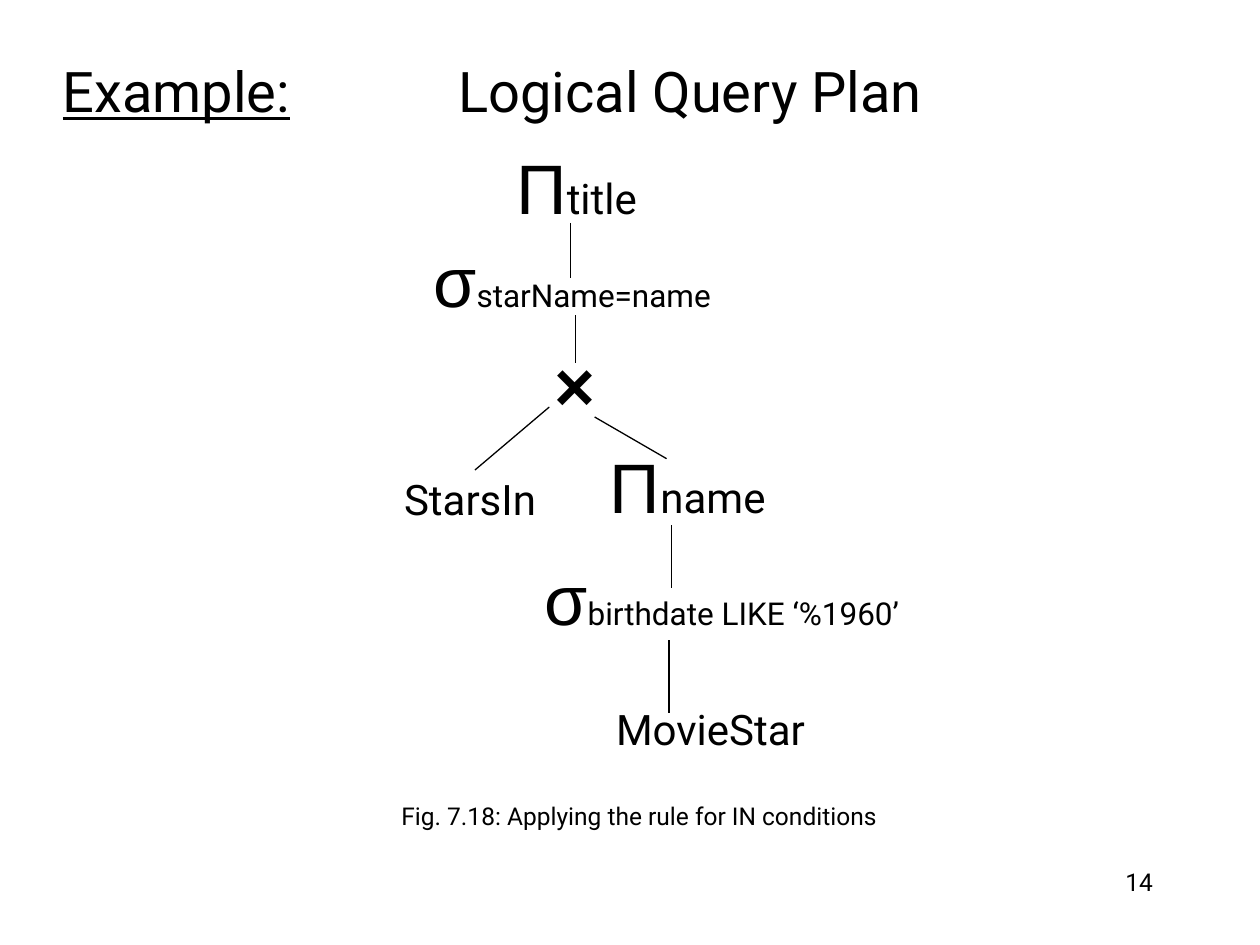
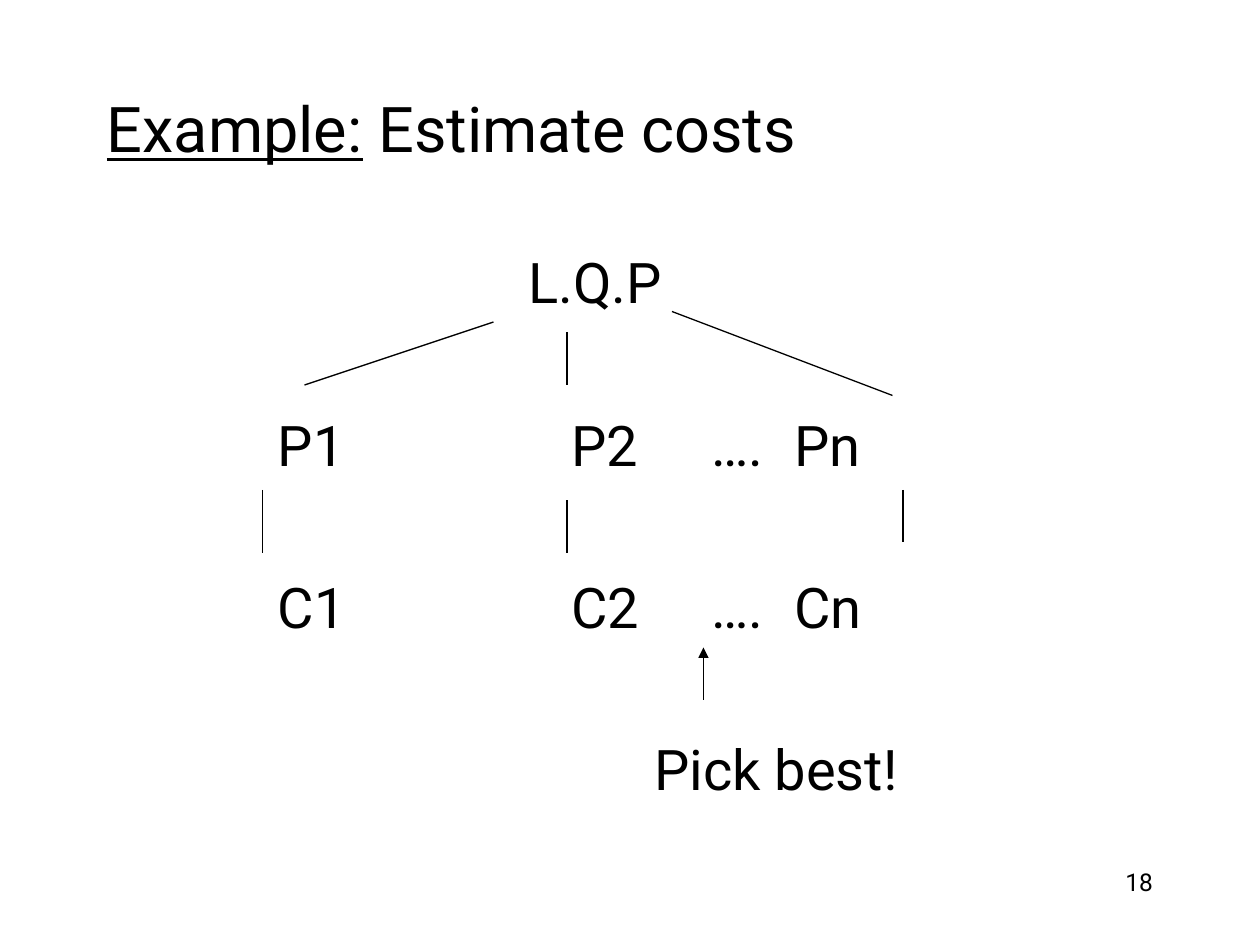
from dataclasses import dataclass

from lxml import etree
from pptx import Presentation
from pptx.dml.color import RGBColor
from pptx.enum.shapes import MSO_CONNECTOR
from pptx.enum.text import MSO_ANCHOR, PP_ALIGN
from pptx.oxml.ns import qn
from pptx.util import Pt

STRAIGHT = MSO_CONNECTOR.STRAIGHT
TOP, MIDDLE = MSO_ANCHOR.TOP, MSO_ANCHOR.MIDDLE
LEFT, CENTER, RIGHT = PP_ALIGN.LEFT, PP_ALIGN.CENTER, PP_ALIGN.RIGHT


@dataclass(frozen=True)
class Theme:
    ink: RGBColor = RGBColor(0, 0, 0)
    background: RGBColor = RGBColor(255, 255, 255)
    font: str = "Roboto"
    symbol_font: str = "Arial"
    symbol_size: int = 40
    plan_size: int = 32
    relation_size: int = 24
    condition_size: int = 18
    small_size: int = 14
    line_width: float = 0.75


THEME = Theme()


def add_text(slide, text, box, size, align=CENTER, anchor=MIDDLE, wrap=False):
    """Add one paragraph in a (left, top, width, height) box; return the paragraph."""
    frame = slide.shapes.add_textbox(*map(Pt, box)).text_frame
    frame.word_wrap = wrap
    frame.vertical_anchor = anchor
    paragraph = frame.paragraphs[0]
    paragraph.alignment = align
    paragraph.font.size = Pt(size)
    paragraph.font.name = THEME.font
    paragraph.font.color.rgb = THEME.ink
    if text:
        paragraph.add_run().text = text
    return paragraph


def add_title(slide, text, box, size, tab_stop=None):
    """Add a title led by an underlined "Example:"; tab_stop sets where a tab lands."""
    paragraph = add_text(slide, "Example:", box, size, LEFT, wrap=True)
    paragraph.runs[0].font.underline = True
    paragraph.add_run().text = text
    if tab_stop:
        tabs = etree.SubElement(paragraph._p.get_or_add_pPr(), qn("a:tabLst"))
        # Tab stops must precede the default run properties.
        paragraph._p.pPr.insert(0, tabs)
        etree.SubElement(tabs, qn("a:tab"), pos=str(Pt(tab_stop)), algn="l")


def add_operator(slide, symbol, argument, argument_size, center, width, bold=False):
    """Add an algebra operator: a large symbol followed by its smaller argument."""
    height = 55.4
    box = (center[0] - width / 2, center[1] - height / 2, width, height)
    paragraph = add_text(slide, "", box, argument_size)
    run = paragraph.add_run()
    run.text = symbol
    run.font.name = THEME.symbol_font
    run.font.size = Pt(THEME.symbol_size)
    run.font.bold = bold
    if argument:
        paragraph.add_run().text = argument


def add_relation(slide, name, center):
    width, height = 134, 36
    box = (center[0] - width / 2, center[1] - height / 2, width, height)
    add_text(slide, name, box, THEME.relation_size)


def add_line(slide, start_x, start_y, end_x, end_y, arrow=False):
    points = map(Pt, (start_x, start_y, end_x, end_y))
    connector = slide.shapes.add_connector(STRAIGHT, *points)
    connector.line.color.rgb = THEME.ink
    connector.line.width = Pt(THEME.line_width)
    if arrow:
        etree.SubElement(connector.line._get_or_add_ln(), qn("a:tailEnd"), type="triangle")
    etree.SubElement(connector._element.spPr, qn("a:effectLst"))


def add_slide(presentation, number):
    slide = presentation.slides.add_slide(presentation.slide_layouts[6])
    slide.background.fill.solid()
    slide.background.fill.fore_color.rgb = THEME.background
    add_text(slide, number, (516, 492, 150, 36), THEME.small_size, RIGHT, TOP, True)
    return slide


def build_logical_plan(presentation):
    slide = add_slide(presentation, "14")
    add_title(slide, "\tLogical Query Plan", (28.8, 16.5, 659.5, 70), 32, 226)

    relation, condition = THEME.relation_size, THEME.condition_size
    add_operator(slide, "Π", "title", relation, (329.5, 106.5), 89)
    add_operator(slide, "σ", "starName=name", condition, (327, 159.5), 180)
    add_operator(slide, "×", "", relation, (328.3, 219.2), 46, bold=True)
    add_relation(slide, "StarsIn", (268.6, 285))
    add_operator(slide, "Π", "name", relation, (393, 277.6), 110)
    add_operator(slide, "σ", "birthdate LIKE ‘%1960’", condition, (412.5, 341.7), 225)
    add_relation(slide, "MovieStar", (406, 416.2))

    for line in (
        (326.2, 127.4, 326.2, 159.1),
        (329, 180, 329, 207.4),
        (313.9, 232.6, 271.4, 268.6),
        (339.8, 238.3, 380.9, 262.1),
        (383.8, 300.2, 383.8, 336.2),
        (382.3, 365.8, 382.3, 407.5),
    ):
        add_line(slide, *line)
    add_text(slide, "Fig. 7.18: Applying the rule for IN conditions",
             (105.8, 453.6, 519.1, 24.5), THEME.small_size, wrap=True)


def build_cost_estimate(presentation):
    slide = add_slide(presentation, "18")
    add_title(slide, " Estimate costs", (54, 28, 612, 90), 36)

    first_center, row_pitch, height, inset = 160.8, 92.8, 45, 7.2
    columns = (159, 326.5, 406.5, 454)
    rows = (
        (("L.Q.P", 302),),
        tuple(zip(("P1", "P2", "….", "Pn"), columns)),
        tuple(zip(("C1", "C2", "….", "Cn"), columns)),
        (("Pick best!", 374),),
    )
    for index, row in enumerate(rows):
        top = first_center + index * row_pitch - height / 2
        for text, left in row:
            width = 28 * len(text) if len(text) < 6 else 160
            box = (left - inset, top, width, height)
            add_text(slide, text, box, THEME.plan_size, LEFT)

    for line in (
        (282, 184, 174, 220),
        (324, 190, 324, 220),
        (384, 178, 510, 226),
        (150, 280, 150, 316),
        (324, 286, 324, 316),
        (516, 280, 516, 310),
    ):
        add_line(slide, *line)
    add_line(slide, 402, 400, 402, 370, arrow=True)


def main():
    presentation = Presentation()
    presentation.slide_width, presentation.slide_height = Pt(720), Pt(540)
    build_logical_plan(presentation)
    build_cost_estimate(presentation)
    presentation.save("out.pptx")


if __name__ == "__main__":
    main()
